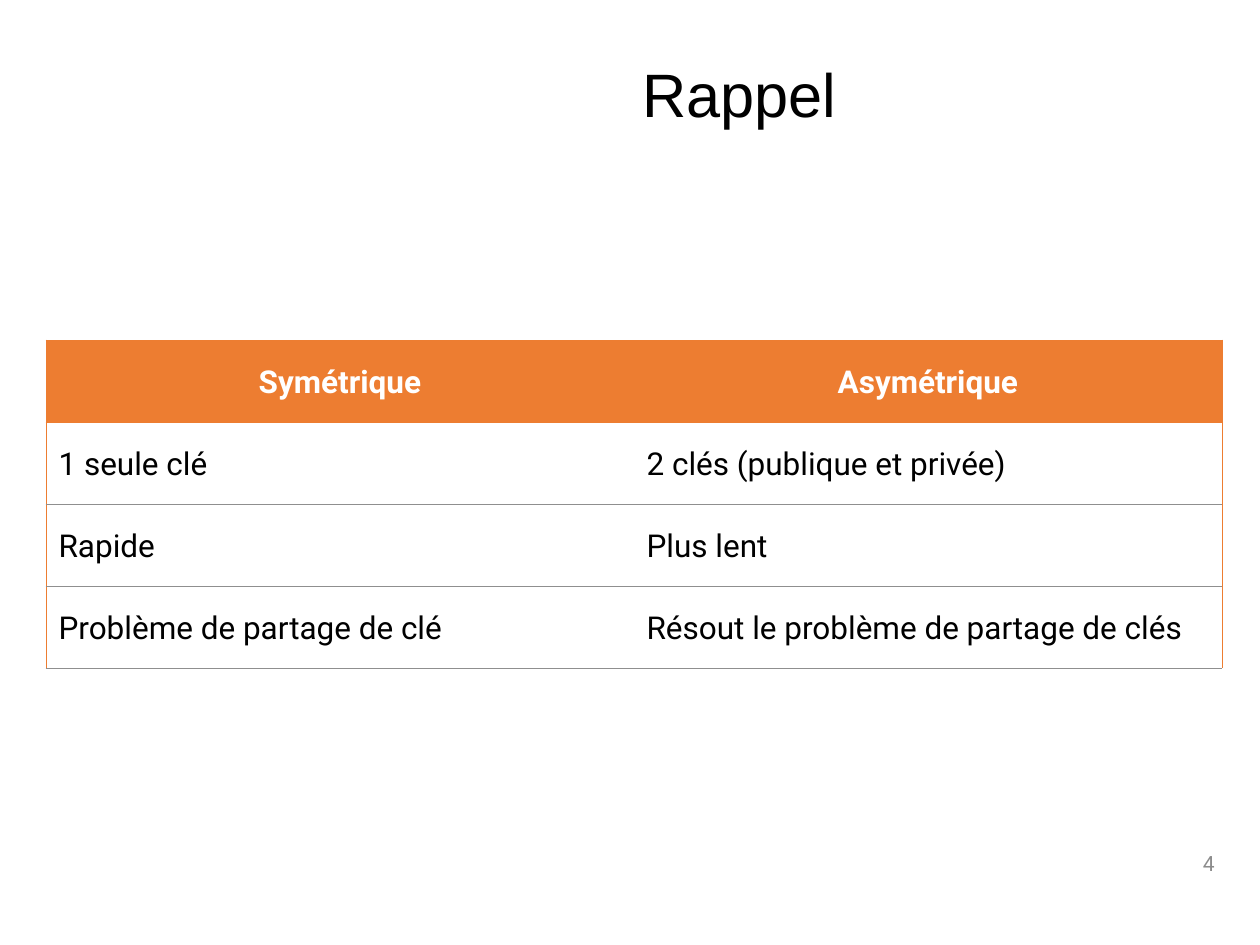
from lxml import etree
from pptx import Presentation
from pptx import util as u
from pptx.dml.color import RGBColor
from pptx.enum import text
from pptx.oxml.ns import qn

PX = 914400 / 126
COLORS = {"orange": "ED7D31", "rule": "8F8F8F", "white": "FFFFFF",
          "black": "000000", "number": "8C8C8C"}


def px(*lengths):
    return [u.Emu(round(length * PX)) for length in lengths]


def write(frame, words, size=18, font="Roboto", color="black", bold=False,
          align=text.PP_ALIGN.LEFT, spacing=1.0):
    frame.word_wrap = True
    paragraph = frame.paragraphs[0]
    paragraph.alignment = align
    paragraph.line_spacing = spacing
    run = paragraph.add_run()
    run.text = words
    run.font.size = u.Pt(size)
    run.font.name = font
    run.font.bold = bold
    run.font.color.rgb = RGBColor.from_string(COLORS[color])


deck = Presentation()
deck.slide_width, deck.slide_height = px(1260, 945)
slide = deck.slides.add_slide(deck.slide_layouts[6])

comparison = [
    ("Symétrique", "Asymétrique"),
    ("1 seule clé", "2 clés (publique et privée)"),
    ("Rapide", "Plus lent"),
    ("Problème de partage de clé", "Résout le problème de partage de clés"),
]
grid = slide.shapes.add_table(4, 2, *px(46, 340, 1176, 328)).table
grid.horz_banding = False

for r, entries in enumerate(comparison):
    header = r == 0
    for c, entry in enumerate(entries):
        cell = grid.cell(r, c)
        borders = {
            "lnL": "orange" if c == 0 else None,
            "lnR": "orange" if c == 1 else None,
            "lnT": "orange" if r < 2 else "rule",
            "lnB": "orange" if header else "rule",
        }
        properties = cell._tc.get_or_add_tcPr()
        for side, color in borders.items():
            line = etree.SubElement(properties, qn(f"a:{side}"), w="6350")
            if color:
                fill = etree.SubElement(line, qn("a:solidFill"))
                etree.SubElement(fill, qn("a:srgbClr"), val=COLORS[color])
            else:
                etree.SubElement(line, qn("a:noFill"))
        if header:
            cell.fill.solid()
            cell.fill.fore_color.rgb = RGBColor.from_string(COLORS["orange"])
        else:
            cell.fill.background()
        write(cell.text_frame, entry, bold=header, spacing=1.5,
              color="white" if header else "black",
              align=text.PP_ALIGN.CENTER if header else text.PP_ALIGN.LEFT)

title = slide.shapes.add_textbox(*px(630, 32, 591, 132)).text_frame
title.vertical_anchor = text.MSO_ANCHOR.MIDDLE
write(title, "Rappel", size=35, font="Arial", spacing=0.9)

page_number = slide.shapes.add_textbox(*px(944, 838, 283, 50)).text_frame
page_number.vertical_anchor = text.MSO_ANCHOR.MIDDLE
write(page_number, "4", size=12, color="number", align=text.PP_ALIGN.RIGHT)

deck.save("out.pptx")
